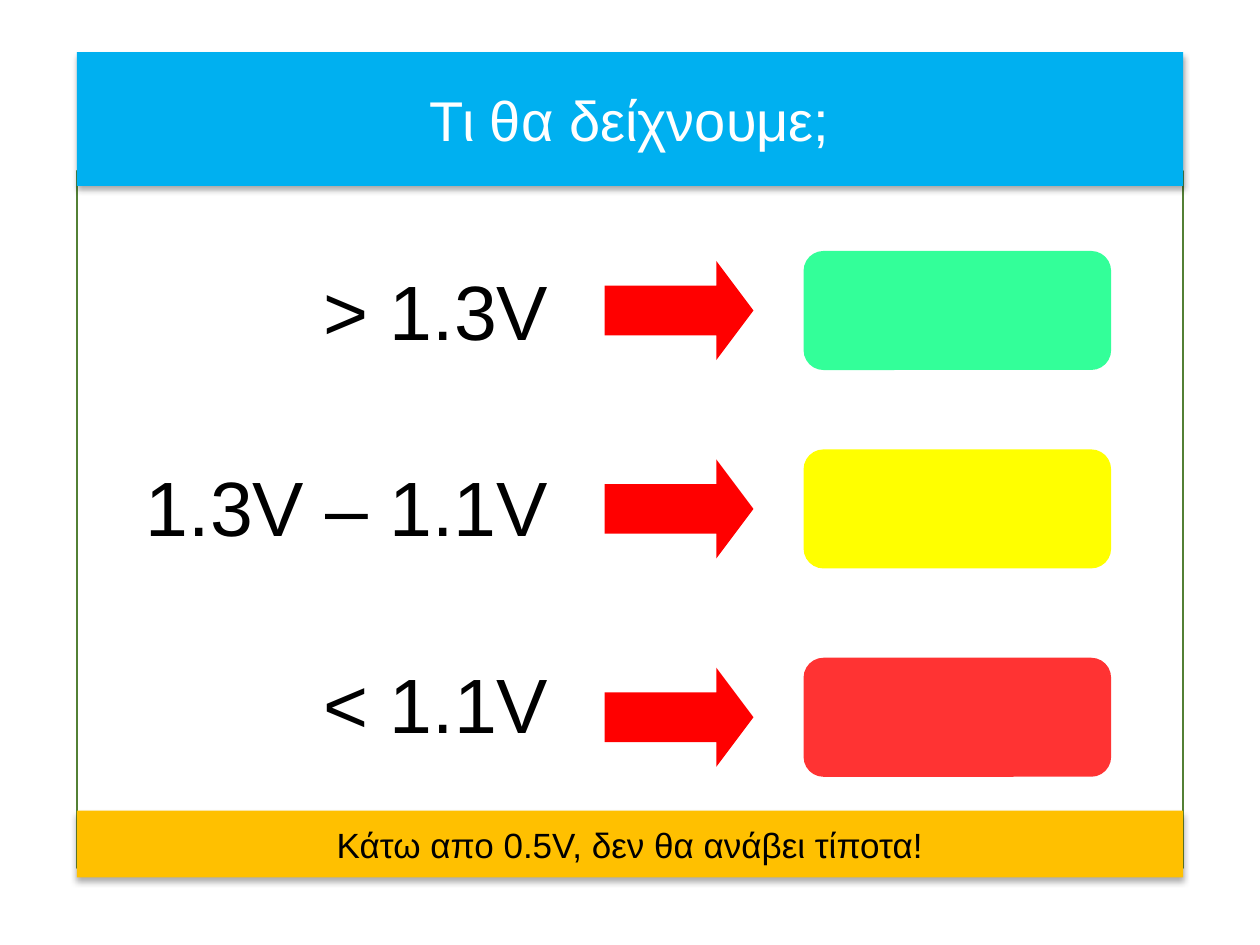
from lxml.etree import SubElement
from pptx import Presentation
from pptx.dml.color import RGBColor as RGB
from pptx.enum.shapes import MSO_SHAPE as SHAPE
from pptx.enum.text import MSO_ANCHOR as ANCHOR, PP_ALIGN as ALIGN
from pptx.oxml.ns import qn
from pptx.util import Cm, Pt

WHITE = RGB(0xFF, 0xFF, 0xFF)
BLACK = RGB(0x00, 0x00, 0x00)
BLUE = RGB(0x00, 0xB0, 0xF0)
AMBER = RGB(0xFF, 0xC0, 0x00)
FRAME_GREEN = RGB(0x53, 0x80, 0x35)
ARROW_RED = RGB(0xFF, 0x00, 0x00)
LED_GREEN = RGB(0x33, 0xFF, 0x99)
LED_YELLOW = RGB(0xFF, 0xFF, 0x00)
LED_RED = RGB(0xFF, 0x33, 0x33)

LEFT, WIDTH = 1.55, 22.3
LABEL_TOP, LABEL_STEP = 5.18, 3.96
LEVELS = [
    ("> 1.3V", LED_GREEN, 5.06),
    ("1.3V – 1.1V", LED_YELLOW, 9.06),
    ("< 1.1V", LED_RED, 13.26),
]


def write(sp, text, size, color, align):
    """Write one formatted run into the shape, vertically centred."""
    tf = sp.text_frame
    tf.word_wrap = True
    tf.vertical_anchor = ANCHOR.MIDDLE
    p = tf.paragraphs[0]
    p.alignment = align
    r = p.add_run()
    r.text = text
    r.font.name = "Arial"
    r.font.size = Pt(size)
    r.font.color.rgb = color


def add_block(s, kind, box, fill):
    """Add a flat filled shape without an outline."""
    sp = s.shapes.add_shape(kind, *map(Cm, box))
    sp.shadow.inherit = False
    sp.fill.solid()
    sp.fill.fore_color.rgb = fill
    sp.line.fill.background()
    return sp


def add_shadow(sp):
    """Cast a soft black shadow straight down."""
    sp.shadow.inherit = False
    effects = sp.element.spPr.find(qn("a:effectLst"))
    shadow = SubElement(effects, qn("a:outerShdw"), blurRad=str(Pt(3.5)),
                        dist=str(Pt(2.2)), dir="5400000", rotWithShape="0")
    color = SubElement(shadow, qn("a:srgbClr"), val=str(BLACK))
    SubElement(color, qn("a:alpha"), val="32000")


def add_frame(s, left, top, width, height):
    """Add the outlined panel behind the content."""
    sp = add_block(s, SHAPE.RECTANGLE, (left, top, width, height), WHITE)
    sp.line.color.rgb = FRAME_GREEN
    sp.line.width = Pt(1)


def add_level(s, left, top, label_top, label, color):
    """Add one voltage label, its arrow and its LED colour."""
    add_block(s, SHAPE.ROUNDED_RECTANGLE, (left + 14.65, top, 6.2, 2.4), color)
    tb = s.shapes.add_textbox(Cm(left), Cm(label_top), Cm(9.76), Cm(2.13))
    write(tb, label, 44, BLACK, ALIGN.RIGHT)
    arrow = add_block(s, SHAPE.RIGHT_ARROW, (left + 10.64, top + 0.2, 3, 2),
                      ARROW_RED)
    arrow.adjustments[1] = 0.375


def place_title(s, left, top, width, height):
    """Turn the title placeholder into the header banner in front."""
    sp = s.shapes.title
    sp.left, sp.top, sp.width, sp.height = map(Cm, (left, top, width, height))
    sp.fill.solid()
    sp.fill.fore_color.rgb = BLUE
    sp.line.fill.background()
    add_shadow(sp)
    write(sp, "Τι θα δείχνουμε;", 32, WHITE, ALIGN.CENTER)
    sp.element.getparent().append(sp.element)


def add_footer(s, left, top, width, height):
    """Add the footnote banner."""
    sp = add_block(s, SHAPE.RECTANGLE, (left, top, width, height), AMBER)
    add_shadow(sp)
    write(sp, "Κάτω απο 0.5V, δεν θα ανάβει τίποτα!", 20, BLACK, ALIGN.CENTER)


def main():
    """Build and save the slide."""
    prs = Presentation()
    prs.slide_width, prs.slide_height = Cm(25.4), Cm(19.05)
    s = prs.slides.add_slide(prs.slide_layouts.get_by_name("Title Only"))
    add_frame(s, LEFT, 3.45, WIDTH, 14.05)
    for i, (label, color, top) in enumerate(LEVELS):
        add_level(s, LEFT, top, LABEL_TOP + i * LABEL_STEP, label, color)
    place_title(s, LEFT, 1.05, WIDTH, 2.7)
    add_footer(s, LEFT, 16.34, WIDTH, 1.35)
    prs.save("out.pptx")


if __name__ == "__main__":
    main()
